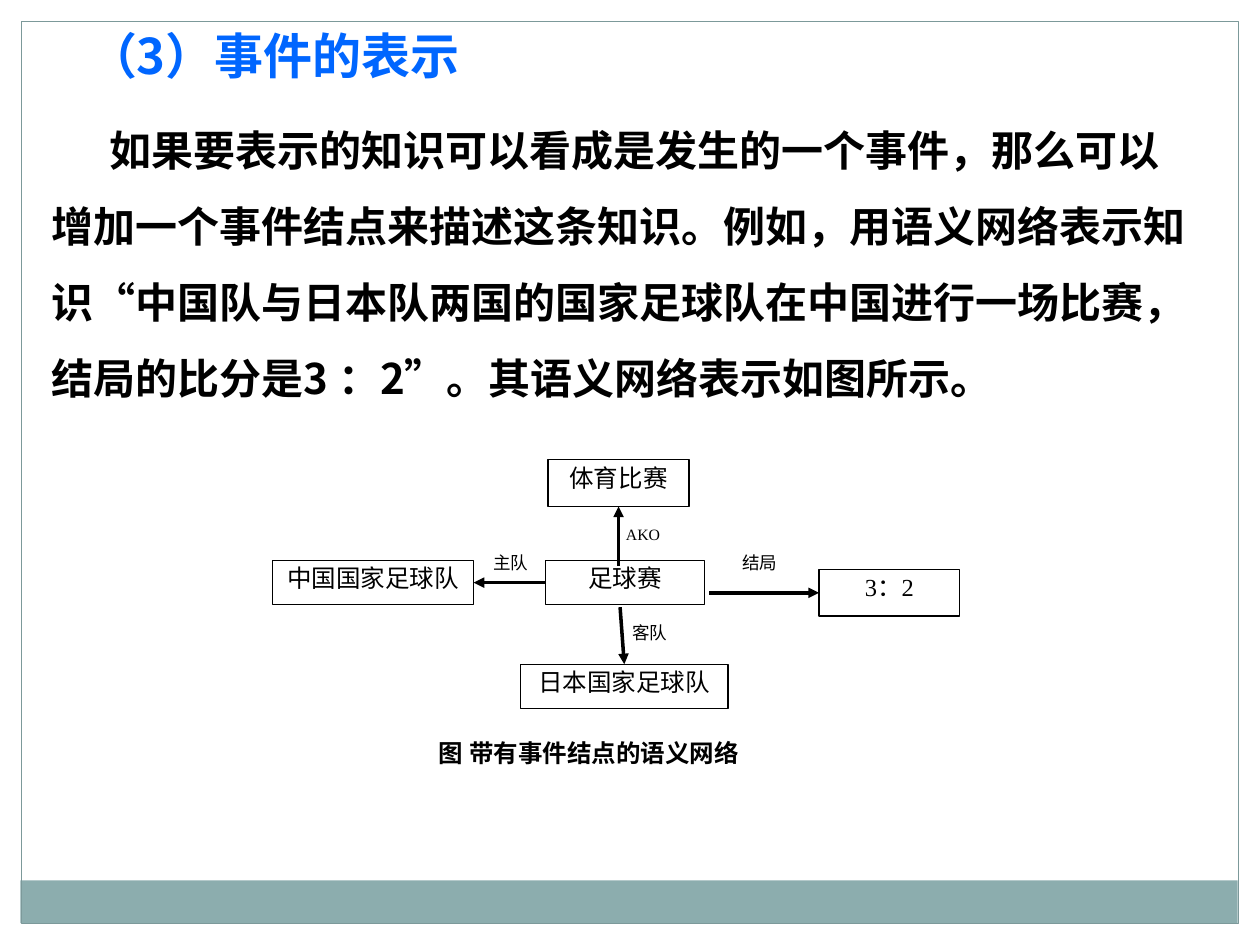
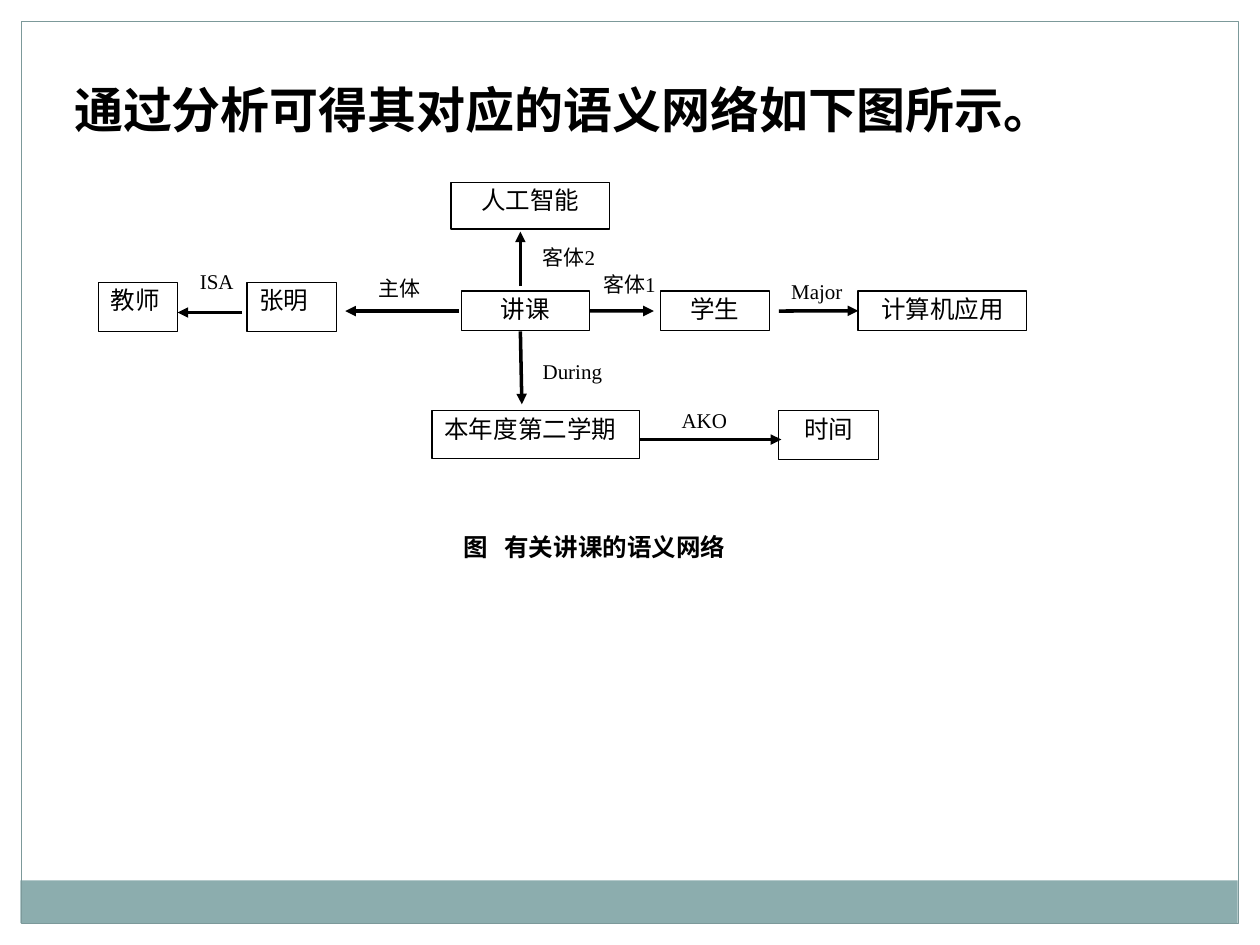
import pptx
import pptx.dml.color
import pptx.enum.shapes
import pptx.enum.text
import pptx.oxml.ns
import pptx.util
from lxml import etree

Cm, Pt = pptx.util.Cm, pptx.util.Pt
qn = pptx.oxml.ns.qn
hex_color = pptx.dml.color.RGBColor.from_string
RECTANGLE = pptx.enum.shapes.MSO_SHAPE.RECTANGLE
STRAIGHT = pptx.enum.shapes.MSO_CONNECTOR.STRAIGHT
ALIGN = pptx.enum.text.PP_ALIGN
ANCHOR = pptx.enum.text.MSO_ANCHOR

SANS, SERIF = "Noto Sans CJK SC", "Times New Roman"
BLACK, WHITE, BLUE = "000000", "FFFFFF", "0066FF"
BAND, FRAME = "8CADAE", "7C999A"
TOP, LEFT, BOTTOM, RIGHT = range(4)


def style(paragraph, size, latin=SANS, bold=False, color=BLACK, align=ALIGN.LEFT):
    paragraph.alignment = align
    font = paragraph.font
    font.size, font.bold, font.name = Pt(size), bold, latin
    font.color.rgb = hex_color(color)
    defaults = paragraph._p.pPr.find(qn("a:defRPr"))
    etree.SubElement(defaults, qn("a:ea")).set("typeface", SANS)


def fill_text(box, text):
    """Put one line of text in a box and return its paragraph."""
    frame = box.text_frame
    frame.word_wrap = True
    frame.vertical_anchor = ANCHOR.TOP
    # Chinese glyphs sit lower in their line than Latin ones
    frame.margin_top = Cm(0.13 if text.isascii() else 0.06)
    frame.text = text
    return frame.paragraphs[0]


# Node: left, top, width, height, alignment.  Label: text, left, top, width, size.
# Arrow: start and end, each a point or a node with the side it joins.
slides = [
    {
        "layout": 1,
        "title": ("（3）事件的表示", (1.52, 0.38, 23, 1.45), BLUE),
        "nodes": {
            "足球赛": (11, 11.3, 3.2, 0.89, ALIGN.CENTER),
            "体育比赛": (11.05, 9.27, 2.84, 0.94, ALIGN.CENTER),
            "中国国家足球队": (5.49, 11.3, 4.06, 0.89, ALIGN.CENTER),
            "3：2": (16.51, 11.48, 2.84, 0.94, ALIGN.CENTER),
            "日本国家足球队": (10.49, 13.39, 4.19, 0.89, ALIGN.CENTER),
        },
        "arrows": [
            ((14.3, 11.95), ("3：2", LEFT)),
            (("足球赛", LEFT), ("中国国家足球队", RIGHT)),
            ((12.47, 11.4), ("体育比赛", BOTTOM)),
            ((12.5, 12.24), ("日本国家足球队", TOP)),
        ],
        "labels": [
            ("主队", 9.7, 11.07, 1.27, 10),
            ("AKO", 12.37, 10.44, 1.57, 9),
            ("结局", 14.71, 11.07, 1.57, 10),
            ("客队", 12.5, 12.47, 1.27, 10),
        ],
        "caption": ("图 带有事件结点的语义网络", 8.6, 14.81, 8.84),
    },
    {
        "layout": 5,
        "title": ("通过分析可得其对应的语义网络如下图所示。", (1.24, 1.47, 20.37, 1.45), BLACK),
        "nodes": {
            "教师": (1.98, 5.69, 1.6, 0.99, ALIGN.LEFT),
            "张明": (4.98, 5.69, 1.8, 0.99, ALIGN.LEFT),
            "讲课": (9.3, 5.87, 2.59, 0.79, ALIGN.CENTER),
            "学生": (13.31, 5.87, 2.21, 0.79, ALIGN.CENTER),
            "计算机应用": (17.3, 5.87, 3.4, 0.79, ALIGN.CENTER),
            "人工智能": (9.09, 3.68, 3.2, 0.94, ALIGN.CENTER),
            "本年度第二学期": (8.71, 8.28, 4.19, 0.97, ALIGN.LEFT),
            "时间": (15.7, 8.28, 2.01, 0.99, ALIGN.CENTER),
        },
        "arrows": [
            ((9.25, 6.27), (6.96, 6.27)),
            (("讲课", RIGHT), (13.18, 6.27)),
            ((10.49, 5.77), (10.49, 4.67)),
            ((15.7, 6.27), ("计算机应用", LEFT)),
            ((10.49, 6.68), (10.52, 8.15)),
            ((12.9, 8.86), (15.75, 8.86)),
            ((4.88, 6.3), (3.58, 6.3)),
        ],
        "labels": [
            ("主体", 7.39, 5.49, 1.78, 12),
            ("客体1", 11.91, 5.41, 2.06, 12),
            ("客体2", 10.69, 4.88, 2.21, 12),
            ("Major", 15.7, 5.49, 1.7, 12),
            ("ISA", 3.78, 5.28, 1.3, 12),
            ("During", 10.69, 7.09, 2.41, 12),
            ("AKO", 13.49, 8.08, 1.7, 12),
        ],
        "caption": ("图\t有关讲课的语义网络", 9.09, 10.67, 7.32),
    },
]

event_text = [
    ("如果要表示的知识可以看成是发生的一个事件，那么可以增加一个事件结点来描述这条知识。"
     "例如，用语义网络表示知识", SANS),
    ("“", SERIF),
    ("中国队与日本队两国的国家足球队在中国进行一场比赛，结局的比分是3 ：2", SANS),
    ("”", SERIF),
    ("。其语义网络表示如图所示。", SANS),
]

deck = pptx.Presentation()
deck.slide_width, deck.slide_height = Cm(25.4), Cm(19.05)

for content in slides:
    page = deck.slides.add_slide(deck.slide_layouts[content["layout"]])

    # Bottom band and page frame
    band = page.shapes.add_shape(RECTANGLE, Cm(0.41), Cm(17.75), Cm(24.54), Cm(0.86))
    band.shadow.inherit = False
    band.fill.solid()
    band.fill.fore_color.rgb = hex_color(BAND)
    band.line.fill.background()
    border = page.shapes.add_shape(RECTANGLE, Cm(0.43), Cm(0.43), Cm(24.54), Cm(18.19))
    border.shadow.inherit = False
    border.fill.background()
    border.line.color.rgb = hex_color(FRAME)
    border.line.width = Pt(0.75)

    # Title
    text, place, color = content["title"]
    title = page.shapes.title
    title.left, title.top, title.width, title.height = map(Cm, place)
    frame = title.text_frame
    frame.text = text
    frame.auto_size = pptx.enum.text.MSO_AUTO_SIZE.NONE
    frame.word_wrap = False
    frame.vertical_anchor = ANCHOR.MIDDLE
    style(frame.paragraphs[0], 28, bold=True, color=color)

    # Nodes
    nodes = {}
    for name, (*place, align) in content["nodes"].items():
        node = page.shapes.add_shape(RECTANGLE, *map(Cm, place))
        node.shadow.inherit = False
        node.fill.solid()
        node.fill.fore_color.rgb = hex_color(WHITE)
        node.line.color.rgb = hex_color(BLACK)
        node.line.width = Pt(0)
        style(fill_text(node, name), 14, SERIF, align=align)
        nodes[name] = node

    # Arrows
    for ends in content["arrows"]:
        arrow = page.shapes.add_connector(STRAIGHT, 0, 0, 0, 0)
        (arrow.begin_x, arrow.begin_y), (arrow.end_x, arrow.end_y) = [
            (0, 0) if end[0] in nodes else map(Cm, end) for end in ends]
        for end, connect in zip(ends, (arrow.begin_connect, arrow.end_connect)):
            if end[0] in nodes:
                connect(nodes[end[0]], end[1])
        arrow.line.color.rgb = hex_color(BLACK)
        arrow.line.width = Pt(0)
        etree.SubElement(arrow.line._get_or_add_ln(), qn("a:tailEnd")).set("type", "triangle")
        etree.SubElement(arrow._element.spPr, qn("a:effectLst"))

    # Arrow labels
    for text, left, top, width, size in content["labels"]:
        label = page.shapes.add_textbox(Cm(left), Cm(top), Cm(width), Cm(0.74))
        style(fill_text(label, text), size, SERIF)

    # Figure caption
    text, left, top, width = content["caption"]
    caption = page.shapes.add_textbox(Cm(left), Cm(top), Cm(width), Cm(0.86))
    para = fill_text(caption, text)
    if "\t" in text:
        stops = etree.SubElement(para._p.get_or_add_pPr(), qn("a:tabLst"))
        etree.SubElement(stops, qn("a:tab"), pos=str(Cm(0.83)), algn="l")
    style(para, 14, bold=True)

# Explanation on the event slide
body = deck.slides[0].placeholders[1]
body.left, body.top, body.width, body.height = Cm(0.79), Cm(2), Cm(23.6), Cm(6.15)
frame = body.text_frame
frame.auto_size = pptx.enum.text.MSO_AUTO_SIZE.NONE
frame.margin_top = frame.margin_bottom = 0
para = frame.paragraphs[0]
para.space_before = Pt(0)
para.line_spacing = Pt(43.4)
properties = para._p.get_or_add_pPr()
properties.set("marL", "0")
properties.set("indent", str(Cm(1.17)))
etree.SubElement(properties, qn("a:buNone"))
style(para, 24, bold=True)
for text, font_name in event_text:
    span = para.add_run()
    span.text = text
    span.font.name = font_name

deck.save("out.pptx")
